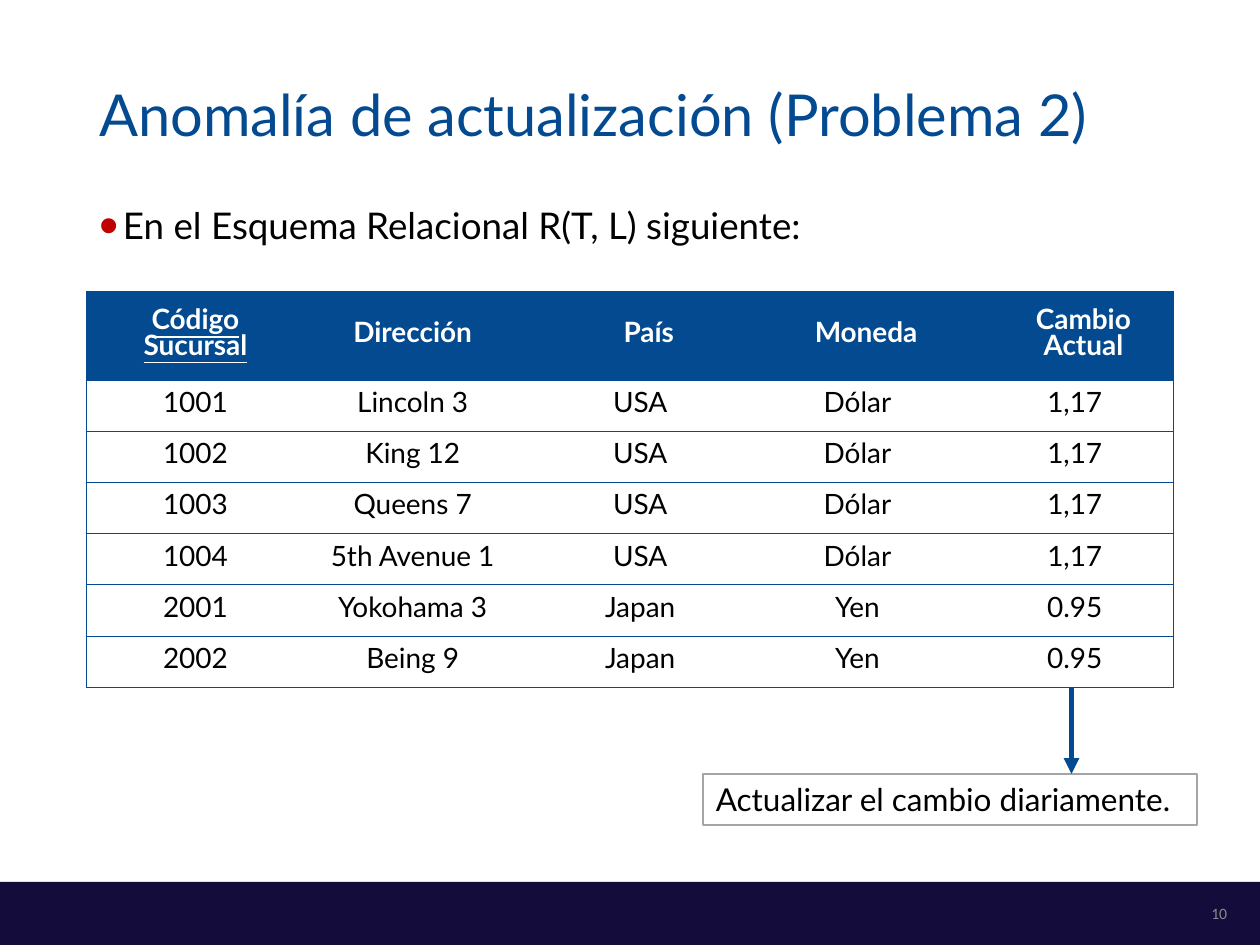
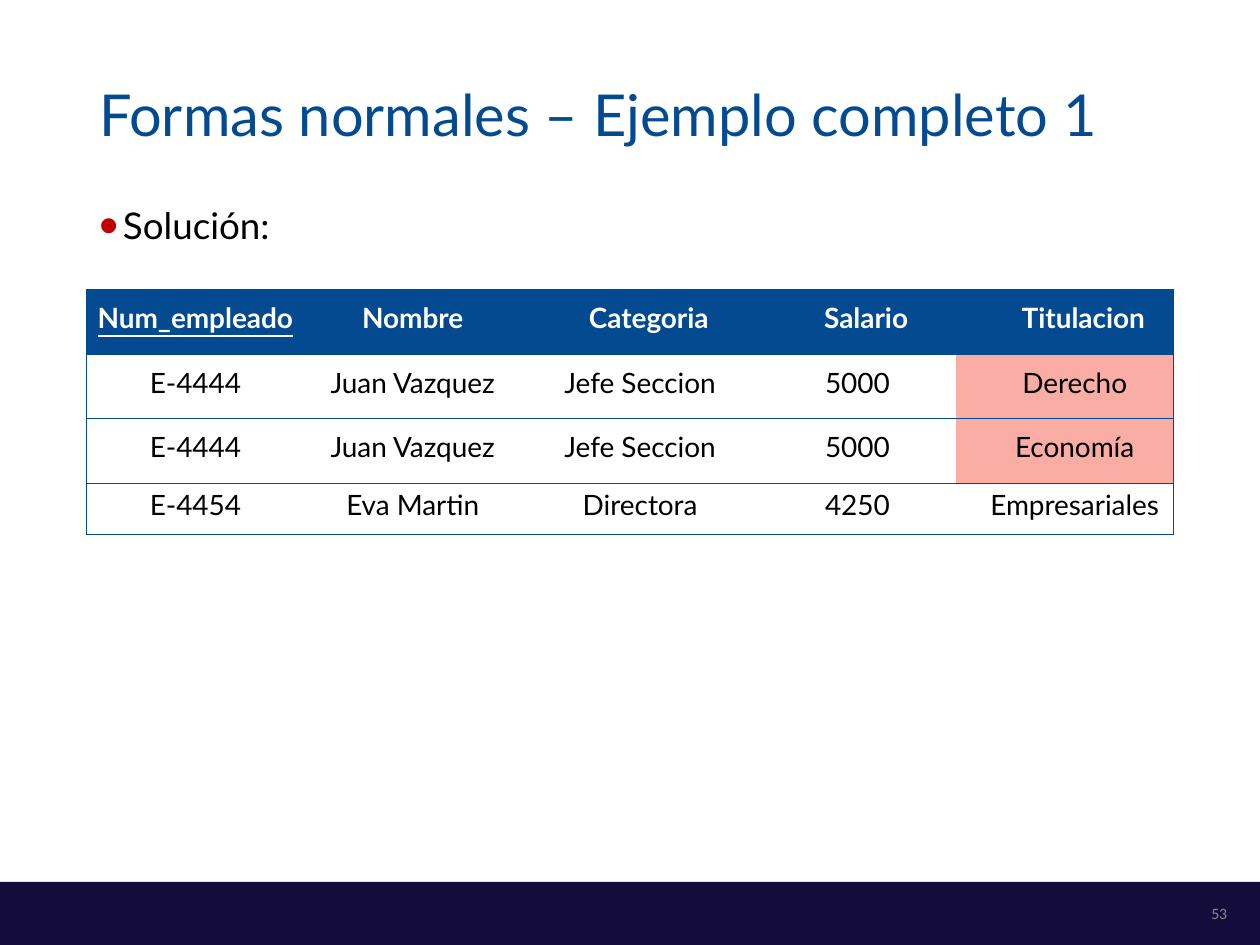
from dataclasses import dataclass

from lxml import etree
from pptx import Presentation
from pptx.dml.color import RGBColor
from pptx.enum.shapes import MSO_CONNECTOR, MSO_SHAPE
from pptx.enum.text import MSO_ANCHOR, PP_ALIGN
from pptx.oxml.ns import qn
from pptx.util import Cm, Pt

LEFT, CENTER, RIGHT = PP_ALIGN.LEFT, PP_ALIGN.CENTER, PP_ALIGN.RIGHT
TOP, MIDDLE = MSO_ANCHOR.TOP, MSO_ANCHOR.MIDDLE
RECT, STRAIGHT = MSO_SHAPE.RECTANGLE, MSO_CONNECTOR.STRAIGHT


@dataclass(frozen=True)
class Theme:
    blue: str = "034A90"
    navy: str = "140D3B"
    red: str = "C00000"
    pink: str = "F9ADA5"
    gray: str = "A5A5A5"
    number: str = "898989"
    black: str = "000000"
    white: str = "FFFFFF"
    font: str = "Lato"
    number_font: str = "Calibri"
    title_size: float = 33
    body_size: float = 21
    note_size: float = 18
    cell_size: float = 16
    number_size: float = 9
    cell_leading: float = 14.4
    rule: float = 0.5


T = Theme()

# Boxes in cm: left, top, width, height
SLIDE_W, SLIDE_H = 25.4, 19.05
BAND = (0, 17.78, SLIDE_W, 1.27)
TITLE = (1.75, 1.02, 21.9, 2.54)
BODY = (1.75, 4.06, 21.9, 13.34)
NUMBER = (21.74, 17.91, 3.25, 1.02)
NOTE = (14.18, 15.6, 9.95, 1.03)
HEAD_INDENT, CELL_INDENT, BULLET_INDENT = 0.76, 0.41, 0.48
ROW_H = 1.03


def rgb(color):
    return RGBColor.from_string(color)


def add_run(p, text, size, color, font=T.font, bold=False, underline=False):
    r = p.add_run()
    r.text = text
    f = r.font
    f.name, f.size, f.bold, f.underline = font, Pt(size), bold, underline
    f.color.rgb = rgb(color)


def add_text(s, box, text, size, color, font=T.font, align=LEFT, anchor=TOP, wrap=True):
    sp = s.shapes.add_textbox(*map(Cm, box))
    tf = sp.text_frame
    tf.word_wrap, tf.vertical_anchor = wrap, anchor
    p = tf.paragraphs[0]
    p.alignment = align
    add_run(p, text, size, color, font)
    return sp


def add_bullet(p):
    pPr = p._p.get_or_add_pPr()
    pPr.set("marL", str(Cm(BULLET_INDENT)))
    pPr.set("indent", str(-Cm(BULLET_INDENT)))
    color = etree.SubElement(pPr, qn("a:buClr"))
    etree.SubElement(color, qn("a:srgbClr"), val=T.red)
    etree.SubElement(pPr, qn("a:buSzPct"), val="150000")
    etree.SubElement(pPr, qn("a:buFont"), typeface="Arial")
    etree.SubElement(pPr, qn("a:buChar"), char="•")


def add_frame(prs, title, lead, number):
    """Band, title, lead bullet and slide number."""
    s = prs.slides.add_slide(prs.slide_layouts[6])
    band = s.shapes.add_shape(RECT, *map(Cm, BAND))
    band.shadow.inherit = False
    band.fill.solid()
    band.fill.fore_color.rgb = rgb(T.navy)
    band.line.fill.background()

    add_text(s, TITLE, title, T.title_size, T.blue, anchor=MIDDLE)
    body = add_text(s, BODY, lead, T.body_size, T.black)
    p = body.text_frame.paragraphs[0]
    p.line_spacing = 0.9
    add_bullet(p)
    add_text(s, NUMBER, number, T.number_size, T.number, T.number_font, RIGHT, MIDDLE)
    return s


def set_borders(cell, first, last):
    """Rule above and below; sides only on the outer edge of the table."""
    tcPr = cell._tc.get_or_add_tcPr()
    edges = {"a:lnL": first, "a:lnR": last, "a:lnT": True, "a:lnB": True}
    for i, (tag, visible) in enumerate(edges.items()):
        ln = etree.Element(qn(tag), w=str(Pt(T.rule)))
        if visible:
            fill = etree.SubElement(ln, qn("a:solidFill"))
            etree.SubElement(fill, qn("a:srgbClr"), val=T.blue)
        else:
            etree.SubElement(ln, qn("a:noFill"))
        tcPr.insert(i, ln)


def fill_cell(cell, text, fill, head, key, indent):
    cell.vertical_anchor = MIDDLE
    cell.margin_left = cell.margin_right = Cm(0.18)
    cell.margin_top = cell.margin_bottom = 0
    cell.fill.solid()
    cell.fill.fore_color.rgb = rgb(fill)
    tf = cell.text_frame
    for i, line in enumerate(text.split("\n")):
        p = tf.add_paragraph() if i else tf.paragraphs[0]
        p.alignment, p.line_spacing = CENTER, Pt(T.cell_leading)
        if indent:
            p._p.get_or_add_pPr().set("marL", str(Cm(indent)))
        add_run(p, line, T.cell_size, T.white if head else T.black,
                bold=head, underline=head and key)


def add_relation(s, box, rows, heights, marked=()):
    """Table whose first column is the underlined key."""
    n = len(rows[0])
    frame = s.shapes.add_table(len(rows), n, *map(Cm, box))
    table = frame.table
    table.horz_banding = False
    for col in table.columns:
        col.width = Cm(box[2] / n)
    for i, (values, height) in enumerate(zip(rows, heights)):
        table.rows[i].height = Cm(height)
        head = i == 0
        for j, text in enumerate(values):
            cell = table.cell(i, j)
            fill = T.blue if head else T.pink if (i, j) in marked else T.white
            indent = 0 if j < 2 else HEAD_INDENT if head else CELL_INDENT
            fill_cell(cell, text, fill, head, j == 0, indent)
            set_borders(cell, j == 0, j == n - 1)


def add_note(s, box, text, arrow_x, arrow_top):
    """Framed note with an arrow coming down to its top edge."""
    note = add_text(s, box, text, T.note_size, T.black, wrap=False)
    note.fill.solid()
    note.fill.fore_color.rgb = rgb(T.white)
    note.line.color.rgb = rgb(T.gray)
    note.line.width = Pt(1)

    x = Cm(arrow_x)
    arrow = s.shapes.add_connector(STRAIGHT, x, Cm(arrow_top), x, Cm(box[1]))
    arrow.line.color.rgb = rgb(T.blue)
    arrow.line.width = Pt(3)
    etree.SubElement(arrow.line._get_or_add_ln(), qn("a:tailEnd"), type="triangle")
    etree.SubElement(arrow._element.spPr, qn("a:effectLst"))


def build_update_anomaly(prs):
    s = add_frame(prs, "Anomalía de actualización (Problema 2)",
                  "En el Esquema Relacional R(T, L) siguiente:", "10")
    rows = [
        ("Código\nSucursal", "Dirección", "País", "Moneda", "Cambio\nActual"),
        ("1001", "Lincoln 3", "USA", "Dólar", "1,17"),
        ("1002", "King 12", "USA", "Dólar", "1,17"),
        ("1003", "Queens 7", "USA", "Dólar", "1,17"),
        ("1004", "5th Avenue 1", "USA", "Dólar", "1,17"),
        ("2001", "Yokohama 3", "Japan", "Yen", "0.95"),
        ("2002", "Being 9", "Japan", "Yen", "0.95"),
    ]
    heights = [1.8] + [ROW_H] * (len(rows) - 1)
    box = (1.75, 5.87, 21.9, sum(heights))
    add_relation(s, box, rows, heights)
    add_note(s, NOTE, "Actualizar el cambio diariamente.", 21.6, box[1] + box[3])


def build_normal_forms(prs):
    s = add_frame(prs, "Formas normales – Ejemplo completo 1", "Solución:", "53")
    rows = [
        ("Num_empleado", "Nombre", "Categoria", "Salario", "Titulacion"),
        ("E-4444", "Juan Vazquez", "Jefe Seccion", "5000", "Derecho"),
        ("E-4444", "Juan Vazquez", "Jefe Seccion", "5000", "Economía"),
        ("E-4454", "Eva Martin", "Directora", "4250", "Empresariales"),
    ]
    heights = [1.3] * 3 + [ROW_H]
    add_relation(s, (1.75, 5.84, 21.9, sum(heights)), rows, heights,
                 marked={(1, 4), (2, 4)})


def main():
    prs = Presentation()
    prs.slide_width, prs.slide_height = Cm(SLIDE_W), Cm(SLIDE_H)
    build_update_anomaly(prs)
    build_normal_forms(prs)
    prs.save("out.pptx")


if __name__ == "__main__":
    main()
